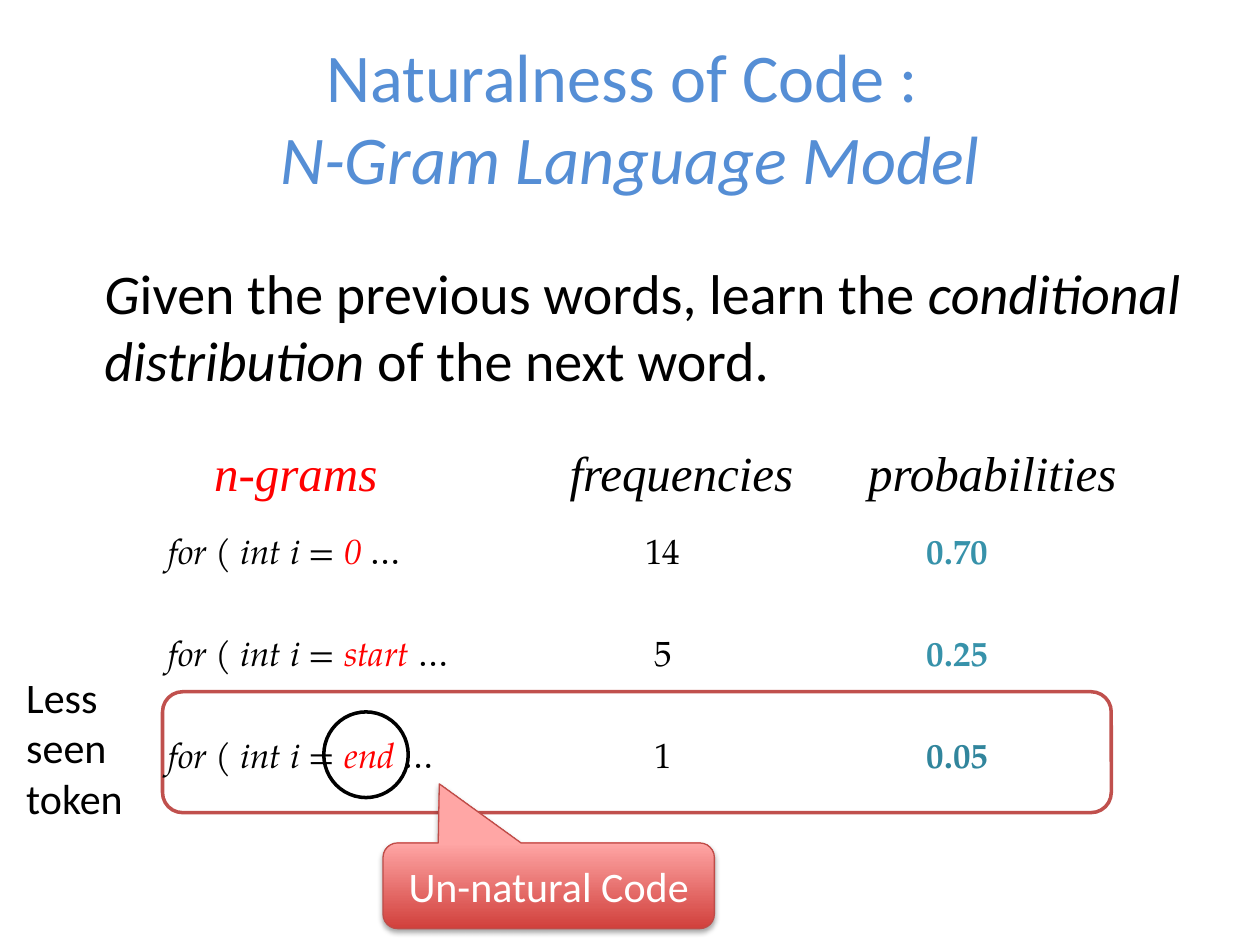
import pptx
import pptx.dml.color
import pptx.enum.shapes
import pptx.enum.text
import pptx.oxml
import pptx.oxml.ns
import pptx.util
from pptx.util import Inches

COLORS = {
    "title": "558ED5", "text": "000000", "token": "FF0000", "white": "FFFFFF",
    "probability": "3792AA", "rare": "31859C", "frame": "C0504D",
    "callout_line": "BF4C48", "callout_dark": "D1403C", "callout_light": "FFA6A5",
}
MIDDLE = pptx.enum.text.MSO_ANCHOR.MIDDLE
CENTER = pptx.enum.text.PP_ALIGN.CENTER
SHAPES = pptx.enum.shapes.MSO_SHAPE


def rgb(name):
    return pptx.dml.color.RGBColor.from_string(COLORS[name])


def add_run(paragraph, text, size, color="text", font="Calibri", italic=False, bold=False):
    run = paragraph.add_run()
    run.text = text
    run.font.size = pptx.util.Pt(size)
    run.font.name = font
    run.font.italic = italic
    run.font.bold = bold
    run.font.color.rgb = rgb(color)


def set_frame(frame, insets=(0.1, 0.05, 0.1, 0.05), anchor=pptx.enum.text.MSO_ANCHOR.TOP):
    frame.word_wrap = True
    frame.auto_size = pptx.enum.text.MSO_AUTO_SIZE.NONE
    frame.vertical_anchor = anchor
    frame.margin_left, frame.margin_top, frame.margin_right, frame.margin_bottom = map(Inches, insets)
    return frame


def add_text(slide, box, **frame_format):
    return set_frame(slide.shapes.add_textbox(*map(Inches, box)).text_frame, **frame_format)


def add_outline(slide, preset, box, color, width):
    outline = slide.shapes.add_shape(preset, *map(Inches, box))
    outline.shadow.inherit = False
    outline.fill.background()
    outline.line.color.rgb = rgb(color)
    outline.line.width = pptx.util.Pt(width)
    return outline


def add_title(slide):
    title = slide.shapes.title
    title.left, title.top, title.width, title.height = map(Inches, (0.5, 0.3, 9, 1.25))
    heading = set_frame(title.text_frame, (0.1, 0.04, 0.1, 0.04), MIDDLE).paragraphs[0]
    heading.alignment = CENTER
    add_run(heading, "Naturalness of Code : ", 39, "title")
    heading.add_line_break()
    add_run(heading, "N-Gram Language Model", 39, "title", italic=True)


def add_statement(slide):
    statement = add_text(slide, (0.73, 2, 9.03, 1.41), insets=(0.1, 0.05, 0.07, 0.04)).paragraphs[0]
    for text, italic in (
        ("G", True),
        ("iven the previous words, learn the ", False),
        ("conditional distribution", True),
        (" of the next word.", False),
    ):
        add_run(statement, text, 32, italic=italic)


def add_callout(slide):
    callout = add_outline(slide, SHAPES.ROUNDED_RECTANGULAR_CALLOUT,
                          (3.04, 6.69, 2.63, 0.68), "callout_line", 0.75)
    for index, value in enumerate((-0.33, -1.19, 0.17)):
        callout.adjustments[index] = value
    callout.fill.gradient()
    callout.fill.gradient_angle = 90
    for stop, color, position in zip(callout.fill.gradient_stops,
                                     ("callout_dark", "callout_light"), (0, 1)):
        stop.color.rgb = rgb(color)
        stop.position = position
    effects = callout._element.spPr.find(pptx.oxml.ns.qn("a:effectLst"))
    effects.append(pptx.oxml.parse_xml(
        f'<a:outerShdw {pptx.oxml.ns.nsdecls("a")} blurRad="{pptx.util.Pt(3.1)}" '
        f'dist="{pptx.util.Pt(1.8)}" dir="5400000" rotWithShape="0">'
        '<a:srgbClr val="000000"><a:alpha val="35000"/></a:srgbClr></a:outerShdw>'))
    label = set_frame(callout.text_frame, anchor=MIDDLE).paragraphs[0]
    label.alignment = CENTER
    add_run(label, "Un-natural Code", 24, "white")


def add_column_heads(slide):
    for left, text, color in (
        (1.66, "n-grams", "token"), (4.48, "frequencies", "text"), (6.85, "probabilities", "text"),
    ):
        head = add_text(slide, (left, 3.47, 2.61, 0.55), insets=(0.04,) * 4, anchor=MIDDLE)
        add_run(head.paragraphs[0], text, 28, color, "Times New Roman", italic=True)


def add_center_tabs(paragraph, positions):
    tabs = "".join(f'<a:tab pos="{Inches(position)}" algn="ctr"/>' for position in positions)
    paragraph._p.get_or_add_pPr().append(pptx.oxml.parse_xml(
        f'<a:tabLst {pptx.oxml.ns.nsdecls("a")}>{tabs}</a:tabLst>'))


def add_ngrams(slide):
    frame = add_text(slide, (0.8, 4.08, 8.21, 2.13), insets=(0.54, 0.04, 0.04, 0.04), anchor=MIDDLE)
    font = "TeX Gyre Pagella"
    for index, (token, frequency, probability, color) in enumerate((
        ("0", "14", "0.70", "probability"),
        ("start", "5", "0.25", "probability"),
        ("end", "1", "0.05", "rare"),
    )):
        row = frame.add_paragraph() if index else frame.paragraphs[0]
        row.line_spacing = 1.2
        row.space_before = pptx.util.Pt(29.5)
        add_center_tabs(row, (3.92, 6.26))
        add_run(row, "for ( int i = ", 20, font=font, italic=True)
        add_run(row, token, 20, "token", font, italic=True)
        add_run(row, " …", 20, font=font, italic=True)
        add_run(row, f"\t{frequency}\t", 20, font=font)
        add_run(row, probability, 20, color, font, bold=True)


def main():
    deck = pptx.Presentation()
    deck.slide_width, deck.slide_height = Inches(10), Inches(7.5)
    slide = deck.slides.add_slide(deck.slide_layouts[5])
    add_title(slide)
    add_statement(slide)
    add_outline(slide, SHAPES.ROUNDED_RECTANGLE, (1.29, 5.49, 7.53, 0.96), "frame", 2)
    add_callout(slide)
    add_run(add_text(slide, (0.11, 5.28, 1.25, 1.31)).paragraphs[0], "Less seen token", 24)
    add_outline(slide, SHAPES.OVAL, (2.57, 5.65, 0.67, 0.68), "text", 2)
    add_column_heads(slide)
    add_ngrams(slide)
    deck.save("out.pptx")


if __name__ == "__main__":
    main()
